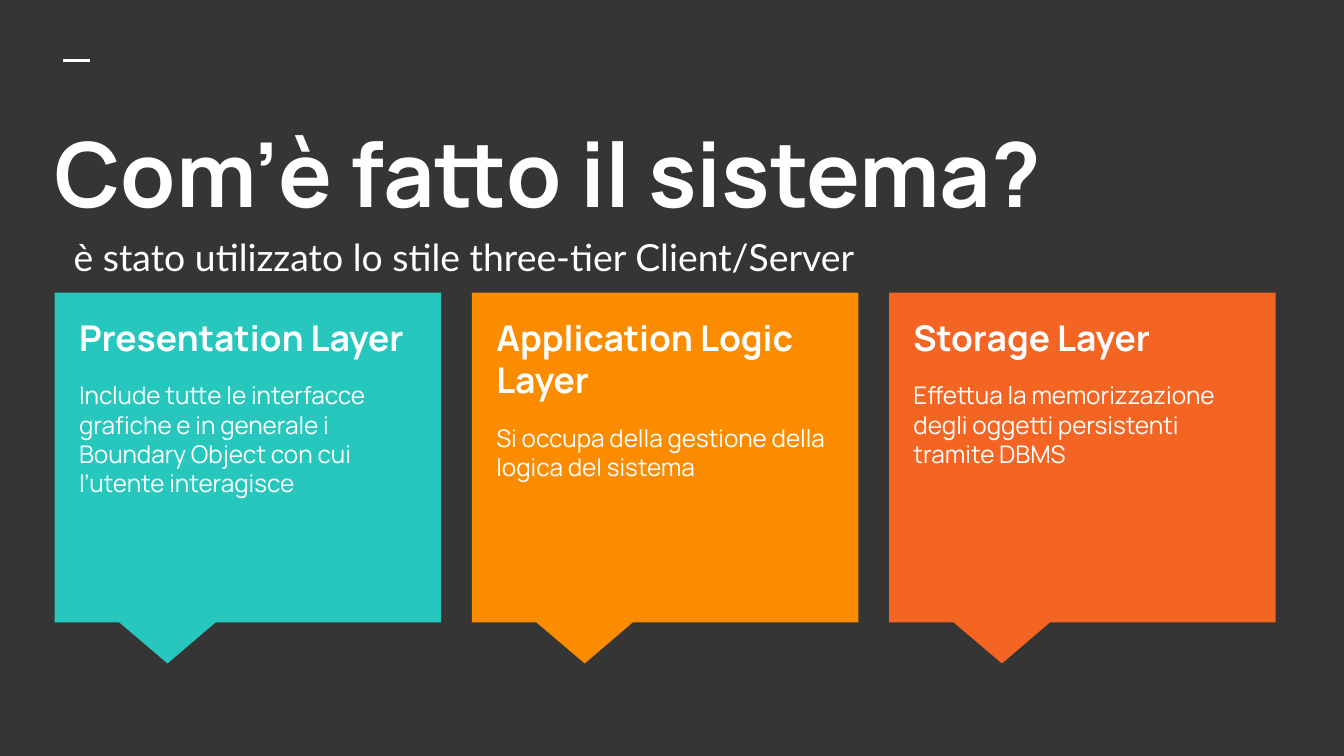
from pptx import Presentation
from pptx.dml.color import RGBColor
from pptx.enum.shapes import MSO_CONNECTOR, MSO_SHAPE
from pptx.enum.text import MSO_ANCHOR
from pptx.oxml.ns import qn
from pptx.util import Pt

LINE = MSO_CONNECTOR.STRAIGHT
CALLOUT = MSO_SHAPE.RECTANGULAR_CALLOUT
TOP = MSO_ANCHOR.TOP
DARK = RGBColor(0x35, 0x35, 0x35)
WHITE = RGBColor(0xFF, 0xFF, 0xFF)
TEAL = RGBColor(0x27, 0xC7, 0xBD)
AMBER = RGBColor(0xFB, 0x8C, 0x00)
CORAL = RGBColor(0xF4, 0x65, 0x24)
INSET = 7.2
LAYERS = [
    (TEAL, "Presentation Layer",
     "Include tutte le interfacce grafiche e in generale i Boundary Object con cui l’utente interagisce"),
    (AMBER, "Application Logic Layer",
     "Si occupa della gestione della logica del sistema"),
    (CORAL, "Storage Layer",
     "Effettua la memorizzazione degli oggetti persistenti tramite DBMS"),
]


def add_run(para, text, size, font="Manrope", bold=False):
    """Add one white run to a paragraph."""
    run = para.add_run()
    run.text = text
    run.font.size = Pt(size)
    run.font.name = font
    run.font.bold = bold
    run.font.color.rgb = WHITE


def add_box(slide, left, top, width, height):
    """Add a wrapping text box and return its frame."""
    box = slide.shapes.add_textbox(Pt(left), Pt(top), Pt(width), Pt(height))
    frame = box.text_frame
    frame.word_wrap = True
    frame.vertical_anchor = TOP
    frame.margin_left = frame.margin_right = Pt(INSET)
    frame.margin_top = frame.margin_bottom = Pt(INSET)
    return frame


def add_head(slide, left, top, width):
    """Place the dash, the title and the subtitle."""
    dash = slide.shapes.add_connector(
        LINE, Pt(left + 11.5), Pt(top), Pt(left + 26), Pt(top))
    dash.line.color.rgb = WHITE
    dash.line.width = Pt(1.5)
    props = dash._element.spPr
    props.append(props.makeelement(qn("a:effectLst"), {}))
    title = add_box(slide, left, top + 23.8, width, 80.6)
    add_run(title.paragraphs[0], "Com’è fatto il sistema?", 48, bold=True)
    sub = add_box(slide, left + 10.1, top + 85.7, width - 14, 38.9)
    add_run(sub.paragraphs[0],
            "è stato utilizzato lo stile three-tier Client/Server", 20, "Lato")


def add_card(slide, left, top, width, height, color, name, body):
    """Place one callout with its layer name and description."""
    card = slide.shapes.add_shape(
        CALLOUT, Pt(left), Pt(top), Pt(width), Pt(height))
    card.adjustments[0] = -0.208
    card.adjustments[1] = 0.625
    card.shadow.inherit = False
    card.fill.solid()
    card.fill.fore_color.rgb = color
    card.line.fill.background()
    frame = add_box(slide, left + 6, top + 5.2, width - 12, height - 19.4)
    add_run(frame.paragraphs[0], name, 19, bold=True)
    para = frame.add_paragraph()
    para.space_before = para.space_after = Pt(12)
    add_run(para, body, 13)


def add_cards(slide, left, top, width, height, gap):
    """Lay the layer cards out in equal columns."""
    count = len(LAYERS)
    wide = (width - gap * (count - 1)) / count
    for index, layer in enumerate(LAYERS):
        add_card(slide, left + index * (wide + gap), top, wide, height, *layer)


def main():
    """Build and save the slide."""
    deck = Presentation()
    deck.slide_width = Pt(720)
    deck.slide_height = Pt(405)
    slide = deck.slides.add_slide(deck.slide_layouts[6])
    slide.background.fill.solid()
    slide.background.fill.fore_color.rgb = DARK
    add_head(slide, 22.3, 32.4, 679)
    add_cards(slide, 29.3, 156.8, 654, 176.6, 16.5)
    deck.save("out.pptx")


if __name__ == "__main__":
    main()
